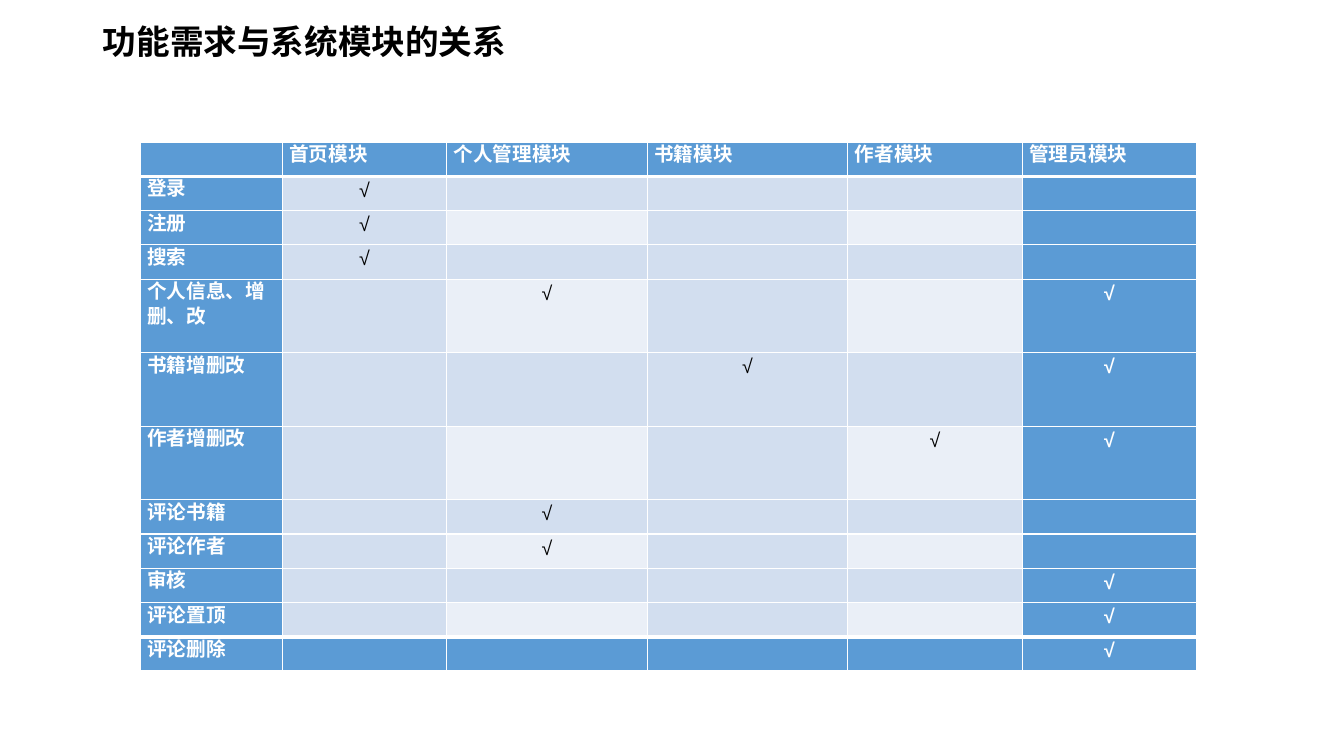
from lxml import etree
from pptx import Presentation
from pptx.dml.color import RGBColor
from pptx.enum import text
from pptx.oxml import ns
from pptx.util import Inches, Pt

COLORS = {
    "black": "000000",
    "white": "FFFFFF",
    "blue": "5B9BD5",
    "band": "D2DEEF",
    "pale": "EAEFF7",
}


def style_font(paragraph, name, size, color, bold):
    paragraph.font.name = name
    paragraph.font.size = Pt(size)
    paragraph.font.bold = bold
    paragraph.font.color.rgb = RGBColor.from_string(COLORS[color])


def add_border(cell, side, width):
    line = etree.SubElement(
        cell._tc.get_or_add_tcPr(), ns.qn(f"a:ln{side}"), w=str(Pt(width)))
    fill = etree.SubElement(line, ns.qn("a:solidFill"))
    etree.SubElement(fill, ns.qn("a:srgbClr"), val=COLORS["white"])


modules = ["首页模块", "个人管理模块", "书籍模块", "作者模块", "管理员模块"]
requirements = [
    ("登录", [1]),
    ("注册", [1]),
    ("搜索", [1]),
    ("个人信息、增删、改", [2, 5]),
    ("书籍增删改", [3, 5]),
    ("作者增删改", [4, 5]),
    ("评论书籍", [2]),
    ("评论作者", [2]),
    ("审核", [5]),
    ("评论置顶", [5]),
    ("评论删除", [5]),
]
column_widths = [1.41, 1.63, 1.99, 1.99, 1.73, 1.73]
row_heights = [0.34] * 4 + [0.73] * 3 + [0.34] * 5

grid = [[""] + modules]
for requirement, checked in requirements:
    marks = ["√" if column in checked else "" for column in range(1, 6)]
    grid.append([requirement] + marks)

presentation = Presentation()
presentation.slide_width = Inches(13.33)
presentation.slide_height = Inches(7.5)
slide = presentation.slides.add_slide(presentation.slide_layouts[5])

title = slide.shapes.title
title.left, title.top = Inches(0.92), Inches(0.25)
title.width, title.height = Inches(11.5), Inches(1.16)
title.text_frame.text = "功能需求与系统模块的关系"
title.text_frame.vertical_anchor = text.MSO_ANCHOR.TOP
title.text_frame.margin_top = 0
heading = title.text_frame.paragraphs[0]
heading.alignment = text.PP_ALIGN.LEFT
heading.line_spacing = 0.9
style_font(heading, "Arial Narrow", 24, "black", True)

last_row, last_column = len(grid) - 1, len(modules)
matrix = slide.shapes.add_table(
    len(grid), len(column_widths), Inches(1.39), Inches(1.41),
    Inches(sum(column_widths)), Inches(sum(row_heights))).table
for column, width in zip(matrix.columns, column_widths):
    column.width = Inches(width)
for row, height in zip(matrix.rows, row_heights):
    row.height = Inches(height)

for r, entries in enumerate(grid):
    for c, entry in enumerate(entries):
        cell = matrix.cell(r, c)
        on_edge = r in (0, last_row) or c in (0, last_column)
        add_border(cell, "L", 1)
        add_border(cell, "R", 1)
        add_border(cell, "T", 3 if r in (1, last_row) else 1)
        add_border(cell, "B", 3 if r in (0, last_row - 1) else 1)

        if on_edge:
            shade = "blue"
        elif r % 2 == 0 and c % 2 == 0:
            shade = "pale"
        else:
            shade = "band"
        cell.fill.solid()
        cell.fill.fore_color.rgb = RGBColor.from_string(COLORS[shade])

        cell.margin_left = cell.margin_right = Inches(0.07)
        cell.margin_top = cell.margin_bottom = 0
        cell.text = entry
        label = cell.text_frame.paragraphs[0]
        label.line_spacing = Pt(18)
        label.alignment = (
            text.PP_ALIGN.CENTER if entry == "√" else text.PP_ALIGN.LEFT)
        style_font(label, "Arial", 14, "white" if on_edge else "black", on_edge)

presentation.save("out.pptx")
